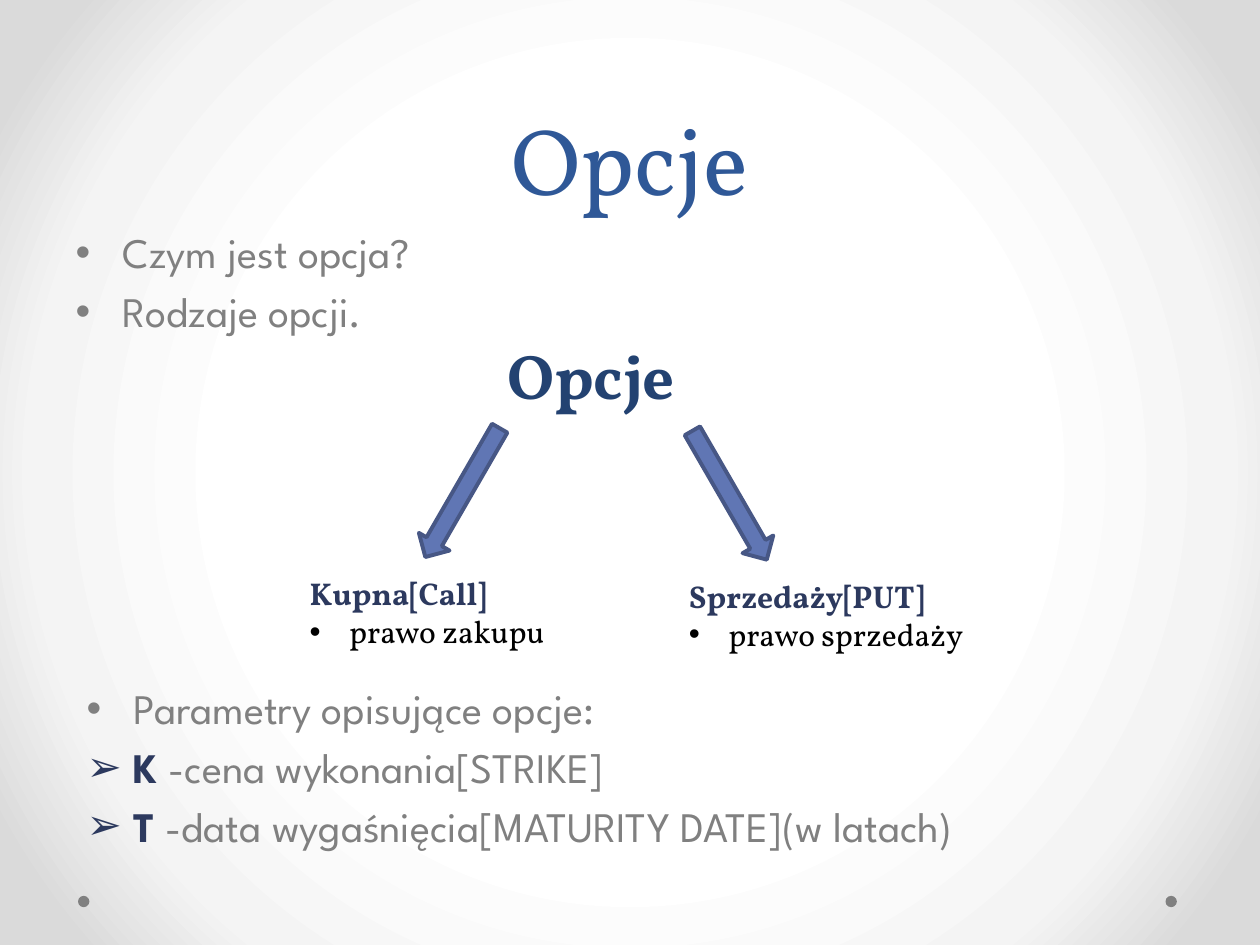
"""Builds the slide on options: their two kinds and the parameters that describe them."""
import pptx
import pptx.dml.color
import pptx.enum.shapes
import pptx.enum.text
import pptx.oxml
import pptx.oxml.ns
import pptx.util

Pt = pptx.util.Pt
ALIGN = pptx.enum.text.PP_ALIGN
ANCHOR = pptx.enum.text.MSO_ANCHOR
SHAPE = pptx.enum.shapes.MSO_SHAPE

SERIF, SANS = "Vollkorn", "League Spartan"
COLORS = {
    "title": "2F5897", "heading": "234271", "navy": "2C395E", "grey": "808080",
    "black": "000000", "arrow": "6076B4", "arrow_edge": "475785",
}
BACKGROUND = [(50, "FFFFFF"), (76, "F4F4F4"), (92, "DADADA")]

STYLES = {
    "title": (SERIF, 54, "title", False),
    "heading": (SERIF, 36, "heading", True),
    "kind": (SERIF, 18, "navy", True),
    "right": (SERIF, 18, "black", False),
    "item": (SANS, 24, "grey", False),
    "symbol": (SANS, 24, "navy", True),
}

TITLE = [(None, [("Opcje", "title")])]
QUESTIONS = [
    ("•", [("Czym jest opcja?", "item")]),
    ("•", [("Rodzaje opcji.", "item")]),
]
HEADING = [(None, [("Opcje", "heading")])]
KINDS = [
    ((169.9, 324.7, 167, 51.1), "Kupna[Call]", "prawo zakupu"),
    ((386.6, 326.2, 177.1, 51.1), "Sprzedaży[PUT]", "prawo sprzedaży"),
]
PARAMETERS = [
    ("•", [("Parametry opisujące opcje:", "item")]),
    ("➢", [("K", "symbol"), (" -cena wykonania[STRIKE]", "item")]),
    ("➢", [("T", "symbol"), (" -data wygaśnięcia[MATURITY DATE](w latach)", "item")]),
]
ARROWS = [((254.2, 239, 20.2, 85), 30), ((406.8, 240.5, 20.2, 85), 330)]
DOTS = [(666, 511.9, 6.5, 6.5), (44.6, 511.9, 6.5, 6.5)]


def rgb(name):
    return pptx.dml.color.RGBColor.from_string(COLORS[name])


def place(shape, box):
    shape.left, shape.top, shape.width, shape.height = map(Pt, box)


def add_bullet(paragraph, char, indent):
    props = paragraph._p.get_or_add_pPr()
    props.set("marL", str(Pt(indent)))
    props.set("indent", str(-Pt(indent)))
    for tag, key, value in (("buFont", "typeface", "Arial"), ("buChar", "char", char)):
        props.append(pptx.oxml.parse_xml(
            f'<a:{tag} {pptx.oxml.ns.nsdecls("a")} {key}="{value}"/>'))


def write(shape, paragraphs, align=ALIGN.LEFT, anchor=ANCHOR.TOP,
          indent=27, before=0, line_spacing=None):
    frame = shape.text_frame
    frame.word_wrap = True
    frame.auto_size = pptx.enum.text.MSO_AUTO_SIZE.NONE
    frame.vertical_anchor = anchor
    for index, (bullet, runs) in enumerate(paragraphs):
        paragraph = frame.add_paragraph() if index else frame.paragraphs[0]
        paragraph.alignment = align
        paragraph.space_before = Pt(before)
        if line_spacing:
            paragraph.line_spacing = Pt(line_spacing)
        if bullet:
            add_bullet(paragraph, bullet, indent)
        for text, style in runs:
            run = paragraph.add_run()
            run.text = text
            font, size, color, bold = STYLES[style]
            run.font.name, run.font.size, run.font.bold = font, Pt(size), bold
            run.font.color.rgb = rgb(color)


def add_text(slide, box, paragraphs, **layout):
    write(slide.shapes.add_textbox(*map(Pt, box)), paragraphs, **layout)


def add_filled(slide, kind, box, color):
    shape = slide.shapes.add_shape(kind, *map(Pt, box))
    shape.shadow.inherit = False
    shape.fill.solid()
    shape.fill.fore_color.rgb = rgb(color)
    shape.line.fill.background()
    return shape


def paint_background(slide):
    slide.background.fill.solid()
    props = slide.element.find(".//" + pptx.oxml.ns.qn("p:bgPr"))
    stops = "".join(f'<a:gs pos="{pos * 1000}"><a:srgbClr val="{color}"/></a:gs>'
                    for pos, color in BACKGROUND)
    props.replace(props[0], pptx.oxml.parse_xml(
        f'<a:gradFill {pptx.oxml.ns.nsdecls("a")} rotWithShape="1"><a:gsLst>{stops}</a:gsLst>'
        '<a:path path="circle"><a:fillToRect l="50000" t="50000" r="50000" b="50000"/>'
        '</a:path></a:gradFill>'))


def main():
    deck = pptx.Presentation()
    deck.slide_width, deck.slide_height = Pt(720), Pt(540)
    slide = deck.slides.add_slide(deck.slide_layouts[1])
    paint_background(slide)

    for box in DOTS:
        add_filled(slide, SHAPE.OVAL, box, "grey")

    title, questions = slide.shapes.title, slide.placeholders[1]
    place(title, (36, 0, 648, 126))
    write(title, TITLE, align=ALIGN.CENTER, anchor=ANCHOR.BOTTOM, line_spacing=58)
    place(questions, (36, 126, 648, 132.5))
    write(questions, QUESTIONS, before=4.8)

    for box, angle in ARROWS:
        arrow = add_filled(slide, SHAPE.DOWN_ARROW, box, "arrow")
        arrow.rotation = angle
        arrow.line.color.rgb = rgb("arrow_edge")
        arrow.line.width = Pt(2.25)

    add_text(slide, (247, 188.6, 181.4, 51.1), HEADING, align=ALIGN.CENTER)
    for box, kind, right in KINDS:
        add_text(slide, box, [(None, [(kind, "kind")]), ("•", [(right, "right")])], indent=22.5)
    add_text(slide, (42.5, 386.6, 648, 110.2), PARAMETERS, before=4.8)

    deck.save("out.pptx")


if __name__ == "__main__":
    main()
